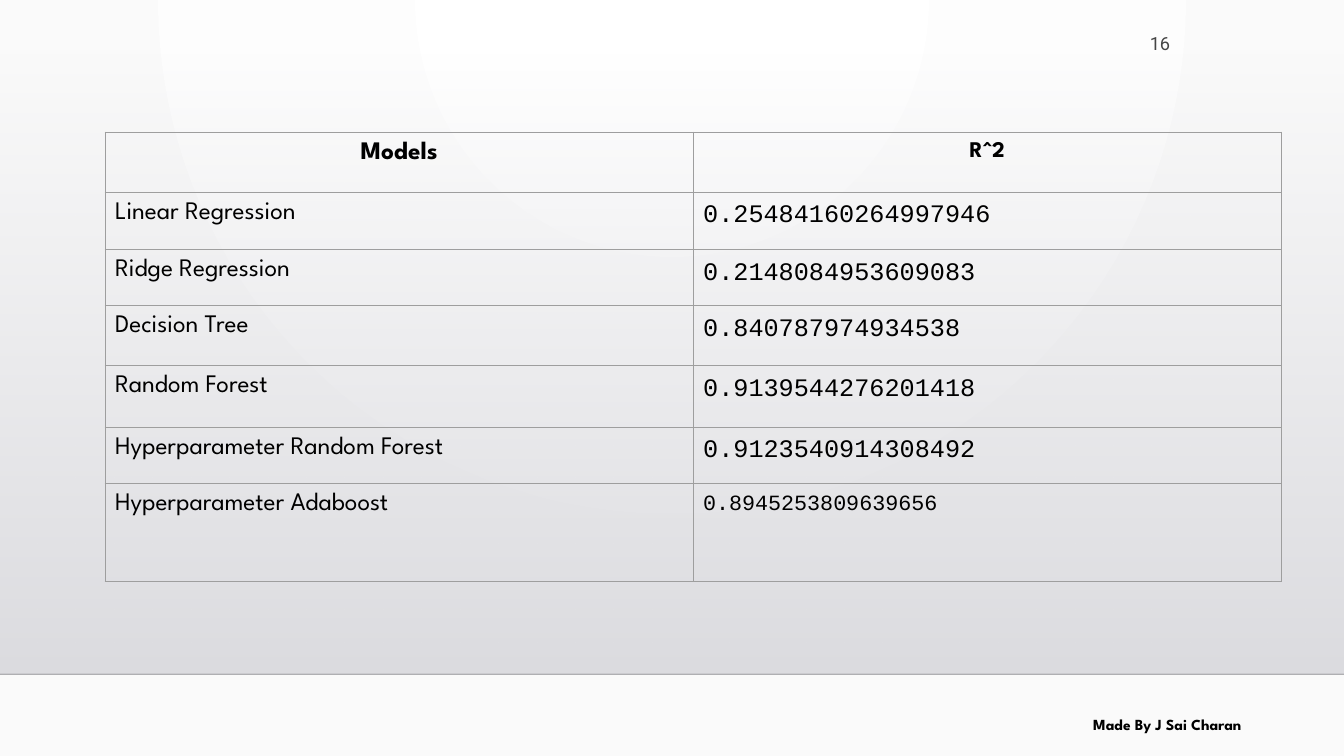
from lxml.etree import SubElement
from pptx import Presentation
from pptx.dml.color import RGBColor
from pptx.enum.shapes import MSO_CONNECTOR, MSO_SHAPE
from pptx.enum.text import MSO_ANCHOR, PP_ALIGN
from pptx.oxml.ns import qn
from pptx.util import Cm, Pt

HEADS = [("Models", 18), ("R^2", 16)]
SCORES = [
    ("Linear Regression", "0.25484160264997946", 18),
    ("Ridge Regression", "0.2148084953609083", 18),
    ("Decision Tree", "0.840787974934538", 18),
    ("Random Forest", "0.9139544276201418", 18),
    ("Hyperparameter Random Forest", "0.9123540914308492", 18),
    ("Hyperparameter Adaboost", "0.8945253809639656", 15.5),
]
ROWS = [1.51, 1.44, 1.41, 1.51, 1.56, 1.41, 2.47]
COL = 14.82
PAGE = "16"
CREDIT = "Made By J Sai Charan"

WIDE, HIGH, FLOOR = 33.87, 19.05, 16.99
SANS, MONO, PLAIN = "League Spartan", "Courier New", "Roboto"
BLACK = RGBColor(0x00, 0x00, 0x00)
INK = RGBColor(0x00, 0x00, 0x01)
GRAY = RGBColor(0x45, 0x45, 0x45)
GRID = RGBColor(0x9E, 0x9E, 0x9E)
WHITE = RGBColor(0xFF, 0xFF, 0xFF)
PALE = RGBColor(0xFA, 0xFA, 0xFA)
HAZE = RGBColor(0xDC, 0xDC, 0xE0)
MIST = RGBColor(0xDE, 0xDE, 0xE2)


def blend(fill, first, last):
    fill.gradient()
    for stop, color, place in zip(fill.gradient_stops, (first, last), (0, 1)):
        stop.color.rgb = color
        stop.position = place


def fade(node, percent):
    """Set the opacity of the first colour inside node."""
    color = node.find(".//" + qn("a:srgbClr"))
    SubElement(color, qn("a:alpha"), val=str(percent * 1000))


def write(frame, text, size, font, color=BLACK, bold=False, align=PP_ALIGN.LEFT):
    para = frame.paragraphs[0]
    para.text = text
    para.alignment = align
    para.font.size = Pt(size)
    para.font.name = font
    para.font.bold = bold
    para.font.color.rgb = color


def label(slide, box, pads, text, size, font, **style):
    frame = slide.shapes.add_textbox(*map(Cm, box)).text_frame
    frame.word_wrap = True
    frame.vertical_anchor = MSO_ANCHOR.MIDDLE
    frame.margin_left = frame.margin_right = Cm(pads[0])
    frame.margin_top = frame.margin_bottom = Cm(pads[1])
    write(frame, text, size, font, **style)


def frame_cell(cell):
    """Give a cell its margins, thin borders and no fill."""
    cell.margin_left = cell.margin_right = Cm(0.25)
    cell.margin_top = cell.margin_bottom = Cm(0.25)
    props = cell._tc.get_or_add_tcPr()
    for side in ("lnL", "lnR", "lnT", "lnB"):
        edge = SubElement(props, qn("a:" + side), w=str(Pt(0.75)))
        solid = SubElement(edge, qn("a:solidFill"))
        SubElement(solid, qn("a:srgbClr"), val=str(GRID))
    cell.fill.background()


def add_back(slide):
    blend(slide.background.fill, WHITE, PALE)
    grad = slide._element.find(".//" + qn("a:gradFill"))
    grad.remove(grad.find(qn("a:lin")))
    ring = SubElement(grad, qn("a:path"), path="circle")
    SubElement(ring, qn("a:fillToRect"), l="43000", t="0", r="43000", b="100000")

    wall = slide.shapes.add_shape(
        MSO_SHAPE.RECTANGLE, 0, Cm(1.3), Cm(WIDE), Cm(FLOOR - 1.3))
    wall.shadow.inherit = False
    wall.line.fill.background()
    blend(wall.fill, HAZE, MIST)
    wall.fill.gradient_angle = 270
    fade(wall._element.spPr, 0)

    edge = slide.shapes.add_connector(
        MSO_CONNECTOR.STRAIGHT, 0, Cm(FLOOR), Cm(WIDE), Cm(FLOOR))
    edge.line.color.rgb = INK
    edge.line.width = Pt(1)
    fade(edge._element.spPr, 20)
    SubElement(edge._element.spPr, qn("a:effectLst"))


def add_scores(slide):
    table = slide.shapes.add_table(
        len(ROWS), 2, Cm(2.65), Cm(3.33), Cm(2 * COL), Cm(sum(ROWS))).table
    table.first_row = table.horz_banding = False
    for col in table.columns:
        col.width = Cm(COL)
    for row, high in zip(table.rows, ROWS):
        row.height = Cm(high)
    for cell in table.iter_cells():
        frame_cell(cell)
    for col, (text, size) in enumerate(HEADS):
        write(table.cell(0, col).text_frame, text, size, SANS,
              bold=True, align=PP_ALIGN.CENTER)
    for row, (model, score, size) in enumerate(SCORES, 1):
        write(table.cell(row, 0).text_frame, model, 18, SANS)
        write(table.cell(row, 1).text_frame, score, size, MONO)


def main():
    deck = Presentation()
    deck.slide_width, deck.slide_height = Cm(WIDE), Cm(HIGH)
    slide = deck.slides.add_slide(deck.slide_layouts[6])
    add_back(slide)
    label(slide, (27.56, 0.38, 2.26, 1.4), (0.33, 0.33), PAGE, 13, PLAIN,
          color=GRAY, align=PP_ALIGN.RIGHT)
    add_scores(slide)
    label(slide, (27.3, 17.75, 5.28, 1.02), (0.25, 0.13), CREDIT, 11, SANS,
          bold=True)
    deck.save("out.pptx")


if __name__ == "__main__":
    main()
